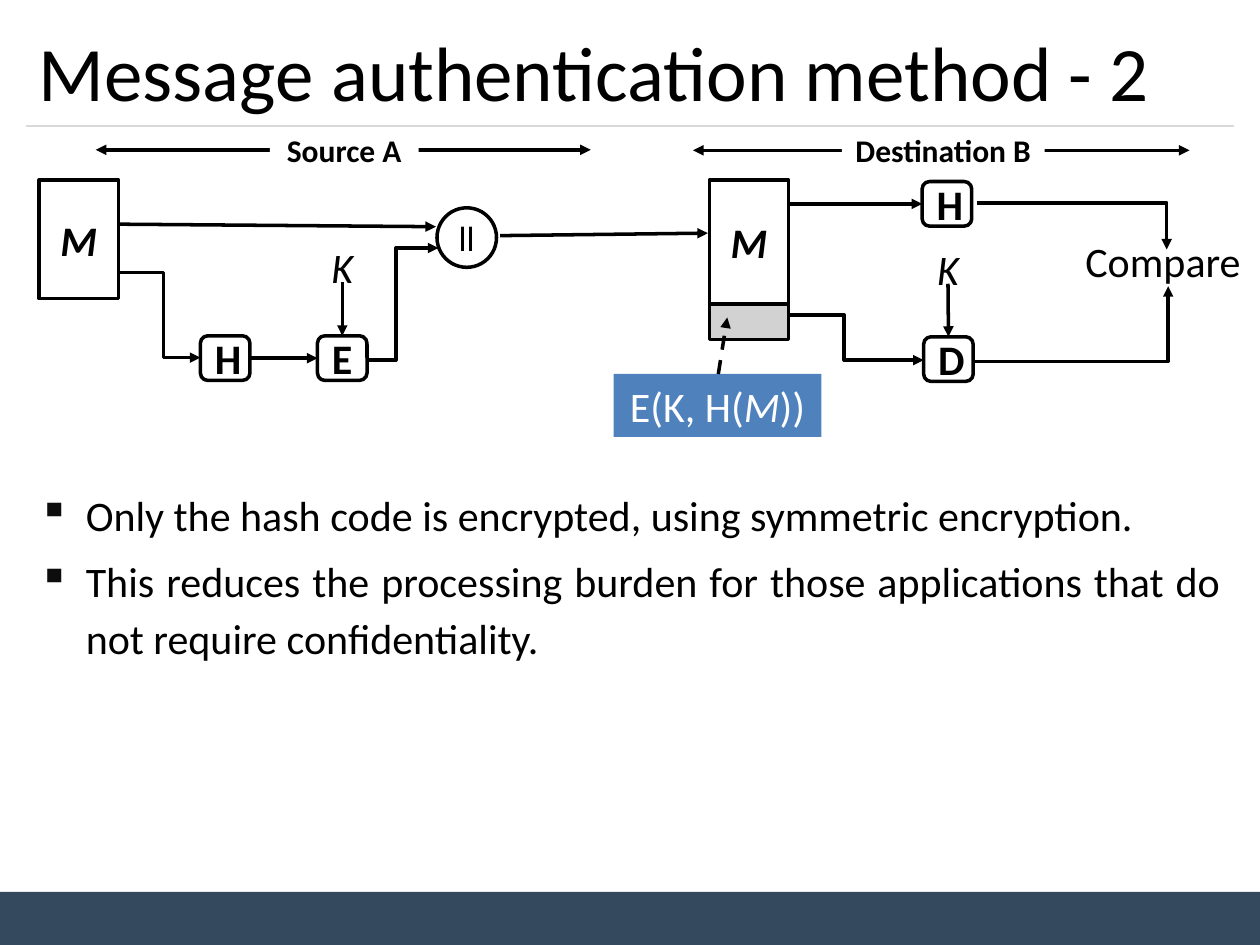
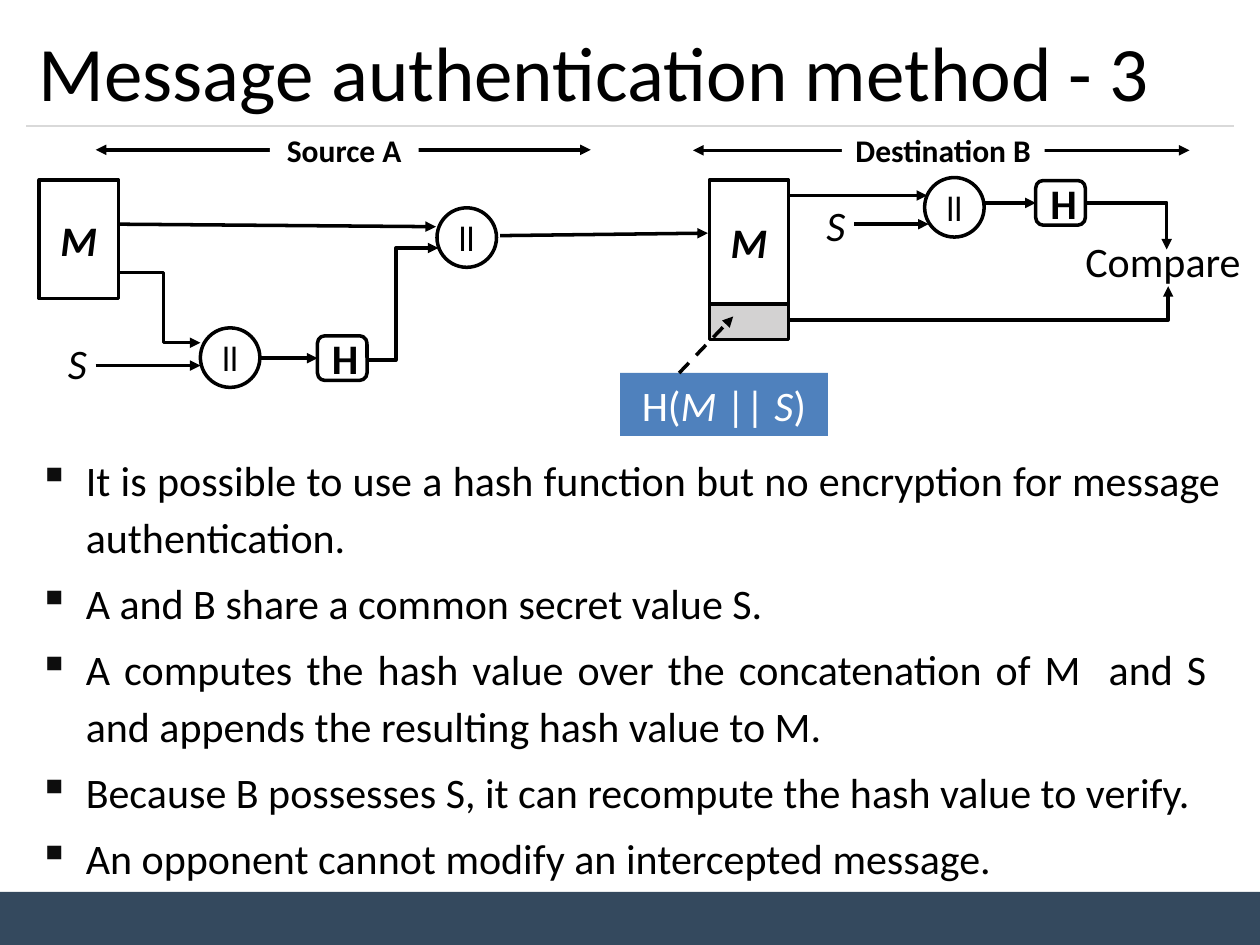
from dataclasses import dataclass

from lxml import etree
from pptx import Presentation
from pptx.dml.color import RGBColor
from pptx.enum.dml import MSO_LINE
from pptx.enum.shapes import MSO_CONNECTOR, MSO_SHAPE
from pptx.enum.text import MSO_ANCHOR, PP_ALIGN
from pptx.oxml.ns import qn
from pptx.util import Cm, Pt

RECT, ROUND, OVAL = MSO_SHAPE.RECTANGLE, MSO_SHAPE.ROUNDED_RECTANGLE, MSO_SHAPE.OVAL
STRAIGHT, DASH = MSO_CONNECTOR.STRAIGHT, MSO_LINE.DASH
MIDDLE, ANCHOR_TOP = MSO_ANCHOR.MIDDLE, MSO_ANCHOR.TOP
LEFT, CENTER, JUSTIFY = PP_ALIGN.LEFT, PP_ALIGN.CENTER, PP_ALIGN.JUSTIFY
TOP_SIDE, LEFT_SIDE, RIGHT_SIDE = 0, 1, 3


@dataclass(frozen=True)
class Theme:
    font: str = "Calibri"
    ink: str = "000000"
    paper: str = "FFFFFF"
    band: str = "34495E"
    rule: str = "D9D9D9"
    bullet: str = "0D0D0D"
    tag: str = "D3D2D2"
    callout: str = "4F81BD"
    title_size: int = 44
    text_size: int = 24
    join_size: int = 20
    label_size: int = 18
    line_width: float = 2
    rule_width: float = 0.75


THEME = Theme()
BLOCK_W, BLOCK_H, JOIN, MESSAGE_W = 1, 0.9, 1.2, 1.6
LETTER_H = 1.27


@dataclass
class Region:
    """A page area; positions inside it are in cm from its top left corner."""
    page: object
    left: float
    top: float

    def point(self, x, y):
        return Cm(self.left + x), Cm(self.top + y)


# ---- Basic parts ----
def style_span(span, size, color=THEME.ink, bold=False, italic=False):
    span.font.name = THEME.font
    span.font.size = Pt(size)
    span.font.bold = bold
    span.font.italic = italic
    span.font.color.rgb = RGBColor.from_string(color)


def style_line(line, color=THEME.ink, width=THEME.line_width):
    line.color.rgb = RGBColor.from_string(color)
    line.width = Pt(width)


def write(box, text, size=THEME.text_size, align=CENTER, anchor=MIDDLE, **look):
    frame = box.text_frame
    frame.word_wrap = True
    frame.vertical_anchor = anchor
    frame.text = text
    para = frame.paragraphs[0]
    para.alignment = align
    style_span(para.runs[0], size, **look)


def add_box(region, kind, x, y, width, height, fill=THEME.paper, outline=True):
    box = region.page.shapes.add_shape(kind, *region.point(x, y), Cm(width), Cm(height))
    box.shadow.inherit = False
    box.fill.solid()
    box.fill.fore_color.rgb = RGBColor.from_string(fill)
    if outline:
        style_line(box.line)
    else:
        box.line.fill.background()
    return box


def add_label(region, text, x, y, width, height, **look):
    label = region.page.shapes.add_textbox(*region.point(x, y), Cm(width), Cm(height))
    write(label, text, **look)


def add_heads(shape, *ends):
    line = shape.line._get_or_add_ln()
    for end in ends:
        etree.SubElement(line, qn(f"a:{end}"), type="triangle")


def add_line(region, start, end, heads=("tailEnd",), dash=False,
             color=THEME.ink, width=THEME.line_width, source=None, target=None):
    """Straight line; source and target are optional (shape, side) joints."""
    line = region.page.shapes.add_connector(
        STRAIGHT, *region.point(*start), *region.point(*end))
    style_line(line.line, color, width)
    if dash:
        line.line.dash_style = DASH
    add_heads(line, *heads)
    etree.SubElement(line._element.spPr, qn("a:effectLst"))
    if source:
        line.begin_connect(*source)
    if target:
        line.end_connect(*target)


def add_elbow(region, *points):
    start, *others = [region.point(*point) for point in points]
    builder = region.page.shapes.build_freeform(*start)
    builder.add_line_segments(others, close=False)
    elbow = builder.convert_to_shape()
    elbow.shadow.inherit = False
    elbow.fill.background()
    style_line(elbow.line)
    add_heads(elbow, "tailEnd")


# ---- Diagram parts ----
def add_block(region, letter, x, y):
    block = add_box(region, ROUND, x, y, BLOCK_W, BLOCK_H)
    write(block, letter, bold=True)
    return block


def add_join(region, x, y):
    join = add_box(region, OVAL, x, y, JOIN, JOIN)
    write(join, "ll", THEME.join_size)
    join.text_frame.word_wrap = False


def add_message(region, x, y, height):
    message = add_box(region, RECT, x, y, MESSAGE_W, height)
    write(message, "M", bold=True, italic=True)


def add_letter(region, letter, x, y):
    add_label(region, letter, x, y, BLOCK_W, LETTER_H,
              align=LEFT, anchor=ANCHOR_TOP, italic=True)


def add_secret(region, x, y, arrow_y, end_x):
    add_letter(region, "S", x, y)
    add_line(region, (x + 0.81, arrow_y), (end_x, arrow_y))


def add_key(region, block, x, y):
    add_letter(region, "K", x, y)
    middle = x + 0.47
    add_line(region, (middle, y + 0.94), (middle, y + 2.03), target=(block, TOP_SIDE))


def add_range(region, text, x, y, width, label_x, label_w, label_h):
    add_line(region, (x, y), (x + width, y), heads=("headEnd", "tailEnd"))
    label = add_box(region, RECT, label_x, y - label_h / 2, label_w, label_h,
                    outline=False)
    write(label, text, THEME.label_size, bold=True)


def add_callout(region, spans, x, y, start_x, tip):
    callout = add_box(region, RECT, x, y, 4.19, LETTER_H, THEME.callout, outline=False)
    frame = callout.text_frame
    frame.word_wrap = True
    frame.vertical_anchor = ANCHOR_TOP
    para = frame.paragraphs[0]
    para.alignment = CENTER
    for text, italic in spans:
        span = para.add_run()
        span.text = text
        style_span(span, THEME.text_size, THEME.paper, italic=italic)
    add_line(region, (start_x, y), tip, dash=True)


# ---- Sender side ----
def draw_source(region, keyed):
    add_range(region, "Source A", 1.14, 0.42, 9.98, 4.65, 3, 0.69)
    add_message(region, 0, 1.03, 2.39)
    add_line(region, (1.6, 1.92), (8, 1.97))
    add_join(region, 8.02, 1.59)
    add_elbow(region, (6.65, 4.66), (7.19, 4.66), (7.19, 2.4), (8.05, 2.4))

    entry_y = 4.61 if keyed else 4.31
    add_elbow(region, (1.6, 2.89), (2.51, 2.89), (2.51, entry_y), (3.25, entry_y))
    last = add_block(region, "E" if keyed else "H", 5.61, 4.17)
    if keyed:
        first = add_block(region, "H", 3.25, 4.17)
        add_line(region, (4.25, 4.62), (5.61, 4.62),
                 source=(first, RIGHT_SIDE), target=(last, LEFT_SIDE))
        add_key(region, last, 5.64, 2.15)
    else:
        add_join(region, 3.25, 4.01)
        add_line(region, (4.45, 4.62), (5.61, 4.62), target=(last, LEFT_SIDE))
        add_secret(region, 0.33, 4.08, 4.77, 3.25)


# ---- Receiver side ----
def draw_destination(region, keyed):
    add_range(region, "Destination B", 0, 0.43, 10.01, 3, 4.09, 0.76)
    add_message(region, 0.33, 1.03, 2.5)
    add_box(region, RECT, 0.33, 3.54, MESSAGE_W, 0.71, THEME.tag)
    add_label(region, "Compare", 7.62, 2.02, 3.71, LETTER_H, anchor=ANCHOR_TOP)
    branch = draw_keyed_check if keyed else draw_secret_check
    branch(region)


def draw_compare_paths(region, hash_x, code_x, code_y):
    add_elbow(region, (hash_x, 1.49), (9.55, 1.49), (9.55, 2.43))
    add_elbow(region, (code_x, code_y), (9.58, code_y), (9.58, 3.17))


def draw_keyed_check(region):
    hasher = add_block(region, "H", 4.62, 1.06)
    add_line(region, (1.93, 1.51), (4.62, 1.51), target=(hasher, LEFT_SIDE))
    decoder = add_block(region, "D", 4.65, 4.19)
    add_key(region, decoder, 4.67, 2.18)
    add_elbow(region, (1.93, 3.75), (3.05, 3.75), (3.05, 4.66), (4.65, 4.66))
    draw_compare_paths(region, 5.72, 5.69, 4.69)
    add_callout(region, [("E(K, H(", False), ("M", True), ("))", False)],
                -1.6, 4.94, 0.51, (0.69, 3.8))


def draw_secret_check(region):
    add_line(region, (1.93, 1.34), (4.72, 1.34))
    add_join(region, 4.67, 0.98)
    hasher = add_block(region, "H", 6.91, 1.04)
    add_line(region, (5.89, 1.49), (6.91, 1.49), target=(hasher, LEFT_SIDE))
    add_secret(region, 2.44, 1.29, 1.92, 4.75)
    draw_compare_paths(region, 7.95, 1.93, 3.85)
    add_callout(region, [("H(", False), ("M ", True), ("|| ", False),
                         ("S", True), (")", False)],
                -1.47, 4.92, -0.28, (0.81, 3.78))


# ---- Page frame and text ----
def draw_frame(region, title):
    add_box(region, RECT, 0, 17.98, 25.4, 1.07, THEME.band, outline=False)
    add_line(region, (0.53, 2.54), (24.87, 2.54), heads=(),
             color=THEME.rule, width=THEME.rule_width)
    add_label(region, title, 0.53, 0.3, 24.33, 2.24, size=THEME.title_size, align=LEFT)


def draw_bullets(region, lines, height):
    body = region.page.shapes.add_textbox(*region.point(0, 0), Cm(24.33), Cm(height))
    frame = body.text_frame
    frame.word_wrap = True
    frame.text = "\n".join(lines)
    for para in frame.paragraphs:
        para.alignment = JUSTIFY
        para.line_spacing = 1.14
        para.space_before = Pt(0.2 * THEME.text_size)
        style_span(para.runs[0], THEME.text_size)
        props = para._p.get_or_add_pPr()
        props.set("marL", str(Cm(0.95)))
        props.set("indent", str(-Cm(0.95)))
        color = etree.SubElement(props, qn("a:buClr"))
        etree.SubElement(color, qn("a:srgbClr"), val=THEME.bullet)
        etree.SubElement(props, qn("a:buChar"), char="▪")


def draw_method(page, number, keyed, lines, body_top, body_height):
    whole = Region(page, 0, 0)
    draw_frame(whole, f"Message authentication method - {number}")
    draw_bullets(Region(page, 0.53, body_top), lines, body_height)
    draw_source(Region(page, 0.79, 2.6), keyed)
    draw_destination(Region(page, 13.97, 2.6), keyed)
    # Channel from sender to receiver
    add_line(whole, (10.08, 4.75), (14.27, 4.7))


ENCRYPTED_HASH = [
    "Only the hash code is encrypted, using symmetric encryption.",
    "This reduces the processing burden for those applications that do not "
    "require confidentiality.",
]
SECRET_VALUE = [
    "It is possible to use a hash function but no encryption for message "
    "authentication.",
    "A and B share a common secret value S.",
    "A computes the hash value over the concatenation of M  and S  and appends "
    "the resulting hash value to M.",
    "Because B possesses S, it can recompute the hash value to verify.",
    "An opponent cannot modify an intercepted message.",
]


def main():
    deck = Presentation()
    deck.slide_width, deck.slide_height = Cm(25.4), Cm(19.05)
    blank = deck.slide_layouts[6]
    draw_method(deck.slides.add_slide(blank), 2, True, ENCRYPTED_HASH, 9.6, 7.21)
    draw_method(deck.slides.add_slide(blank), 3, False, SECRET_VALUE, 8.89, 8.84)
    deck.save("out.pptx")


if __name__ == "__main__":
    main()
